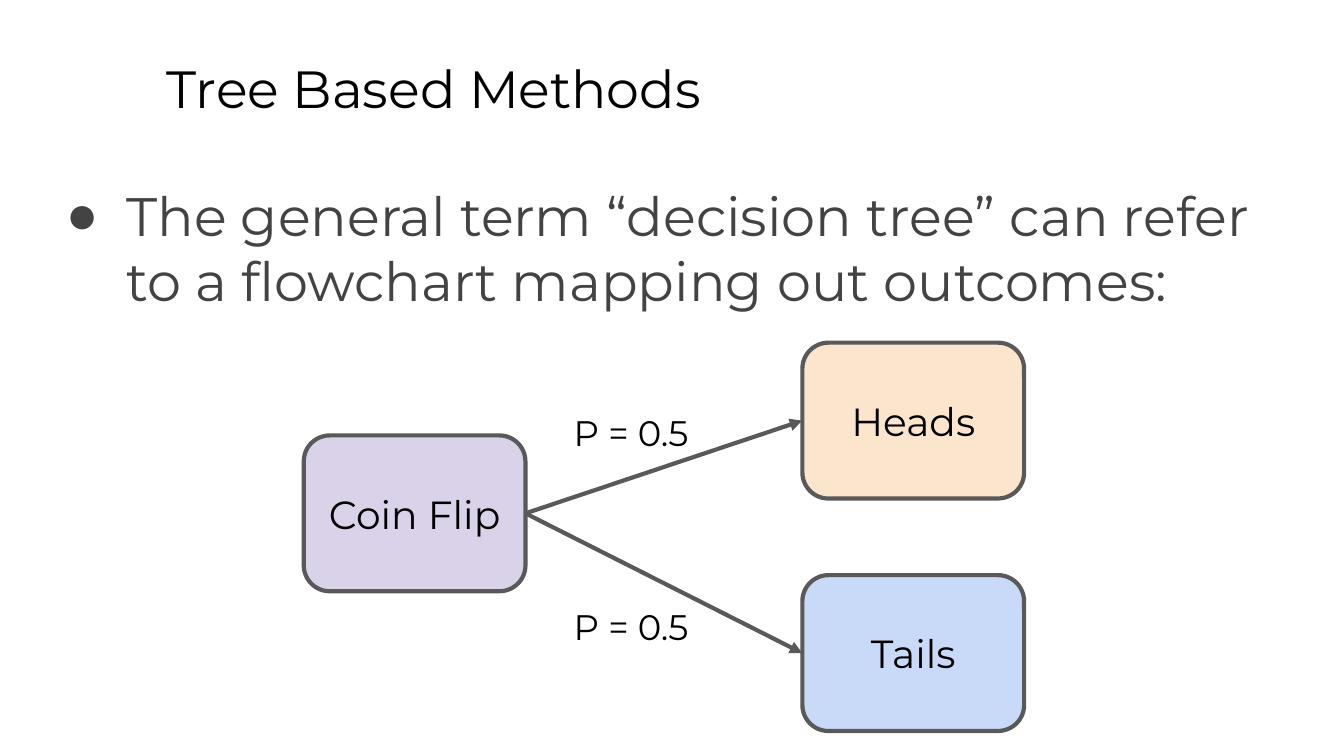
"""Build a slide that shows a coin flip as a simple decision tree."""
from lxml import etree
from pptx import Presentation
from pptx.dml.color import RGBColor
from pptx.enum.shapes import MSO_CONNECTOR, MSO_SHAPE
from pptx.enum.text import MSO_ANCHOR, MSO_AUTO_SIZE, PP_ALIGN
from pptx.oxml.ns import qn
from pptx.util import Inches, Pt

ROUNDED = MSO_SHAPE.ROUNDED_RECTANGLE
STRAIGHT = MSO_CONNECTOR.STRAIGHT
TOP, MIDDLE = MSO_ANCHOR.TOP, MSO_ANCHOR.MIDDLE
LEFT, CENTER = PP_ALIGN.LEFT, PP_ALIGN.CENTER
NO_AUTOFIT = MSO_AUTO_SIZE.NONE

FONT = "Montserrat"
COLORS = {
    "black": "000000",
    "body": "434343",
    "outline": "595959",
    "purple": "D9D2E9",
    "orange": "FCE5CD",
    "blue": "C9DAF8",
}
LINE_WIDTH = Pt(2.25)
NODE_WIDTH, NODE_HEIGHT = 1.65, 1.16


def color(name):
    return RGBColor.from_string(COLORS[name])


def write_text(shape, text, size, color_name="black", align=LEFT, anchor=TOP, bullet=None):
    frame = shape.text_frame
    frame.word_wrap = True
    frame.auto_size = NO_AUTOFIT
    frame.vertical_anchor = anchor
    frame.margin_left = frame.margin_right = Inches(0.1)
    frame.margin_top = frame.margin_bottom = Inches(0.1)
    frame.text = text
    paragraph = frame.paragraphs[0]
    paragraph.alignment = align
    paragraph.space_before = Pt(0)
    if bullet:
        properties = paragraph._p.get_or_add_pPr()
        properties.set("marL", str(Inches(0.5)))
        properties.set("indent", str(Inches(-0.45)))
        bullet_color = etree.SubElement(properties, qn("a:buClr"))
        etree.SubElement(bullet_color, qn("a:srgbClr"), val=COLORS[color_name])
        etree.SubElement(properties, qn("a:buChar"), char=bullet)
    font = paragraph.runs[0].font
    font.name = FONT
    font.size = Pt(size)
    font.color.rgb = color(color_name)


presentation = Presentation()
presentation.slide_width = Inches(10)
presentation.slide_height = Inches(10) * 9 // 16
slide = presentation.slides.add_slide(presentation.slide_layouts[1])

title = slide.shapes.title
title.left, title.top = Inches(1.14), Inches(0.32)
title.width, title.height = Inches(8.52), Inches(0.63)
write_text(title, "Tree Based Methods", 28)

body = slide.placeholders[1]
body.left, body.top = Inches(0.34), Inches(1.26)
body.width, body.height = Inches(9.5), Inches(3.74)
write_text(
    body,
    "The general term “decision tree” can refer to a flowchart mapping out outcomes:",
    29,
    color_name="body",
    bullet="●",
)

nodes = []
for label, left, top, fill in [
    ("Coin Flip", 2.26, 3.24, "purple"),
    ("Heads", 5.97, 2.55, "orange"),
    ("Tails", 5.97, 4.28, "blue"),
]:
    node = slide.shapes.add_shape(
        ROUNDED, Inches(left), Inches(top), Inches(NODE_WIDTH), Inches(NODE_HEIGHT)
    )
    node.shadow.inherit = False
    node.fill.solid()
    node.fill.fore_color.rgb = color(fill)
    node.line.color.rgb = color("outline")
    node.line.width = LINE_WIDTH
    write_text(node, label, 21, align=CENTER, anchor=MIDDLE)
    nodes.append(node)

coin_flip, *outcomes = nodes
for outcome in outcomes:
    branch = slide.shapes.add_connector(STRAIGHT, 0, 0, 0, 0)
    branch.begin_connect(coin_flip, 3)
    branch.end_connect(outcome, 1)
    branch.line.color.rgb = color("outline")
    branch.line.width = LINE_WIDTH
    etree.SubElement(branch.line._get_or_add_ln(), qn("a:tailEnd"), type="triangle")
    etree.SubElement(branch._element.spPr, qn("a:effectLst"))

for top in (2.96, 4.4):
    probability = slide.shapes.add_textbox(
        Inches(4.17), Inches(top), Inches(1.21), Inches(0.69)
    )
    write_text(probability, "P = 0.5", 19)

presentation.save("out.pptx")
